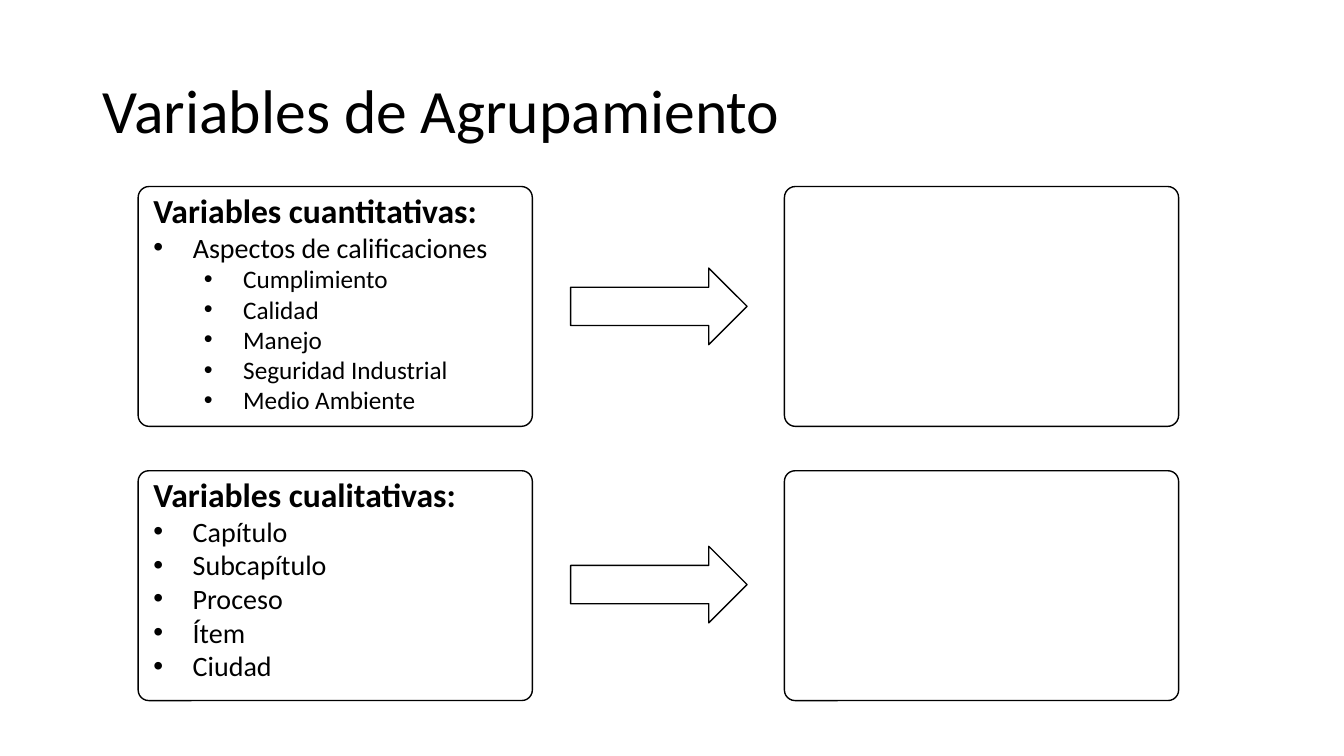
"""Build the slide on grouping variables: two lists, each with an arrow to an empty box."""
import pptx
import pptx.dml.color
import pptx.enum.shapes
import pptx.enum.text
import pptx.util
import lxml.etree
import pptx.oxml.ns

BLACK = pptx.dml.color.RGBColor(0, 0, 0)
WHITE = pptx.dml.color.RGBColor(255, 255, 255)
FONT = "Calibri"
SIZES = [24, 20, 18]
INDENTS = [0, 0.39, 0.89]
HANGING = 0.39
LIST_COL, ARROW_COL, RESULT_COL = 1.37, 5.66, 7.78
BOX_W, ARROW_W, ARROW_H = 3.91, 1.75, 0.76
ROWS = [
    (1.85, 2.38, 2.66, [
        (0, "Variables cuantitativas:"),
        (1, "Aspectos de calificaciones"),
        (2, "Cumplimiento"),
        (2, "Calidad"),
        (2, "Manejo"),
        (2, "Seguridad Industrial"),
        (2, "Medio Ambiente"),
    ]),
    (4.67, 2.28, 5.42, [
        (0, "Variables cualitativas:"),
        (1, "Capítulo"),
        (1, "Subcapítulo"),
        (1, "Proceso"),
        (1, "Ítem"),
        (1, "Ciudad"),
    ]),
]


def add_outlined(kind, left, top, width, height):
    sp = s.shapes.add_shape(kind, *map(pptx.util.Inches, (left, top, width, height)))
    sp.shadow.inherit = False
    sp.fill.solid()
    sp.fill.fore_color.rgb = WHITE
    sp.line.color.rgb = BLACK
    sp.line.width = pptx.util.Pt(1)
    return sp


def add_run(p, text, size, bold=False):
    r = p.add_run()
    r.text = text
    r.font.name = FONT
    r.font.size = pptx.util.Pt(size)
    r.font.bold = bold
    r.font.color.rgb = BLACK


prs = pptx.Presentation()
prs.slide_width = pptx.util.Inches(13.33)
prs.slide_height = pptx.util.Inches(7.5)
s = prs.slides.add_slide(prs.slide_layouts[5])

title = s.shapes.title
title.left, title.top, title.width, title.height = map(pptx.util.Inches, (0.92, 0.4, 11.5, 1.45))
title.text_frame.vertical_anchor = pptx.enum.text.MSO_ANCHOR.MIDDLE
p = title.text_frame.paragraphs[0]
p.alignment = pptx.enum.text.PP_ALIGN.LEFT
p.line_spacing = 0.9
add_run(p, "Variables de Agrupamiento", 44)

SHAPES = pptx.enum.shapes.MSO_SHAPE
for top, height, arrow_top, items in ROWS:
    list_box, result_box = [
        add_outlined(SHAPES.ROUNDED_RECTANGLE, left, top, BOX_W, height)
        for left in (LIST_COL, RESULT_COL)
    ]
    for box in (list_box, result_box):
        box.adjustments[0] = 0.046
    add_outlined(SHAPES.RIGHT_ARROW, ARROW_COL, arrow_top, ARROW_W, ARROW_H)

    tf = list_box.text_frame
    tf.word_wrap = True
    tf.vertical_anchor = pptx.enum.text.MSO_ANCHOR.TOP
    tf.margin_left, tf.margin_right = pptx.util.Inches(0.12), pptx.util.Inches(0.08)
    tf.margin_top = tf.margin_bottom = 0
    for i, (level, text) in enumerate(items):
        p = tf.add_paragraph() if i else tf.paragraphs[0]
        p.alignment = pptx.enum.text.PP_ALIGN.LEFT
        p.level = max(level - 1, 0)
        add_run(p, text, SIZES[level], bold=level == 0)
        if level:
            pPr = p._p.get_or_add_pPr()
            pPr.set("marL", str(pptx.util.Inches(INDENTS[level])))
            pPr.set("indent", str(-pptx.util.Inches(HANGING)))
            font = lxml.etree.SubElement(pPr, pptx.oxml.ns.qn("a:buFont"))
            font.set("typeface", "Arial")
            bullet = lxml.etree.SubElement(pPr, pptx.oxml.ns.qn("a:buChar"))
            bullet.set("char", "•")

prs.save("out.pptx")
